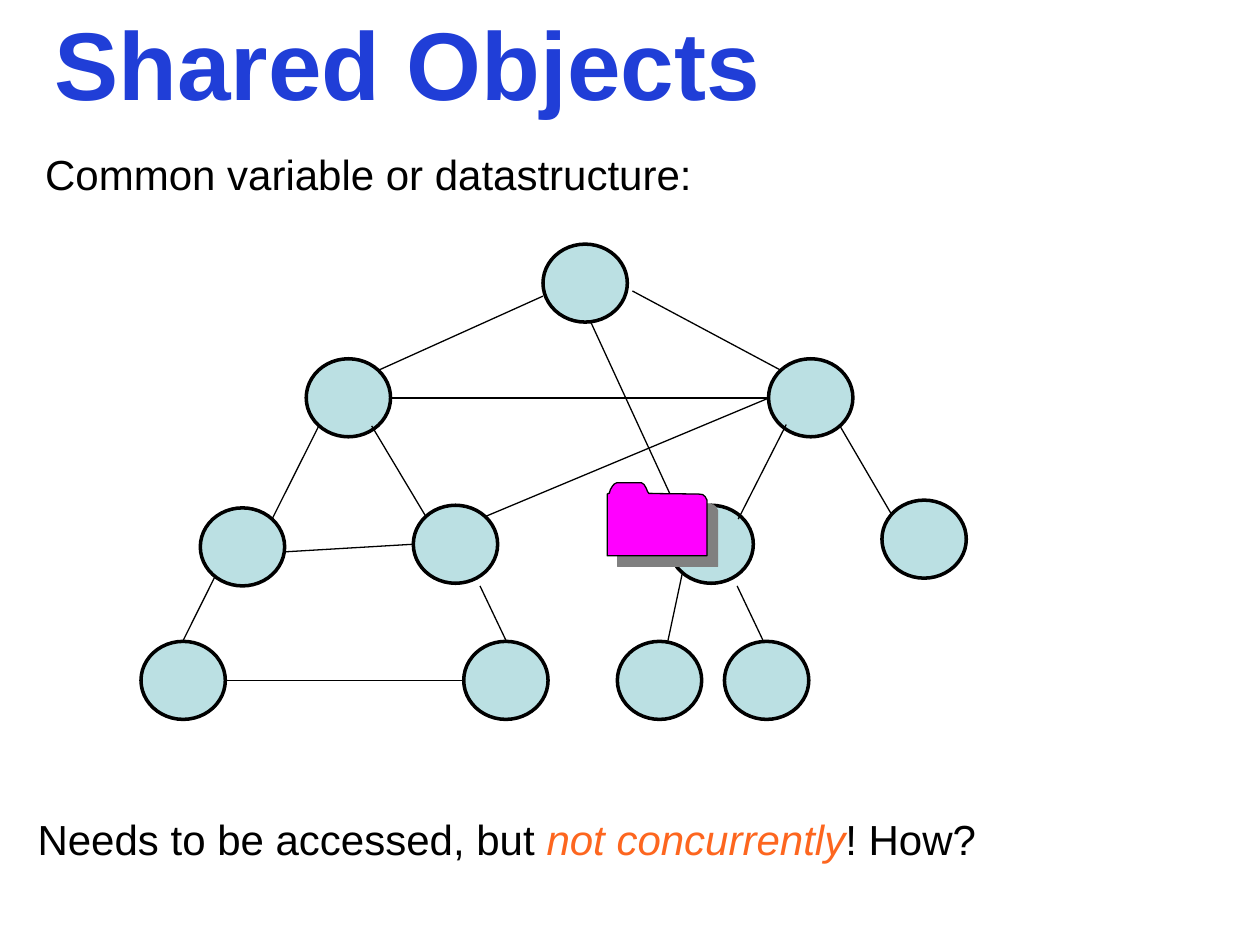
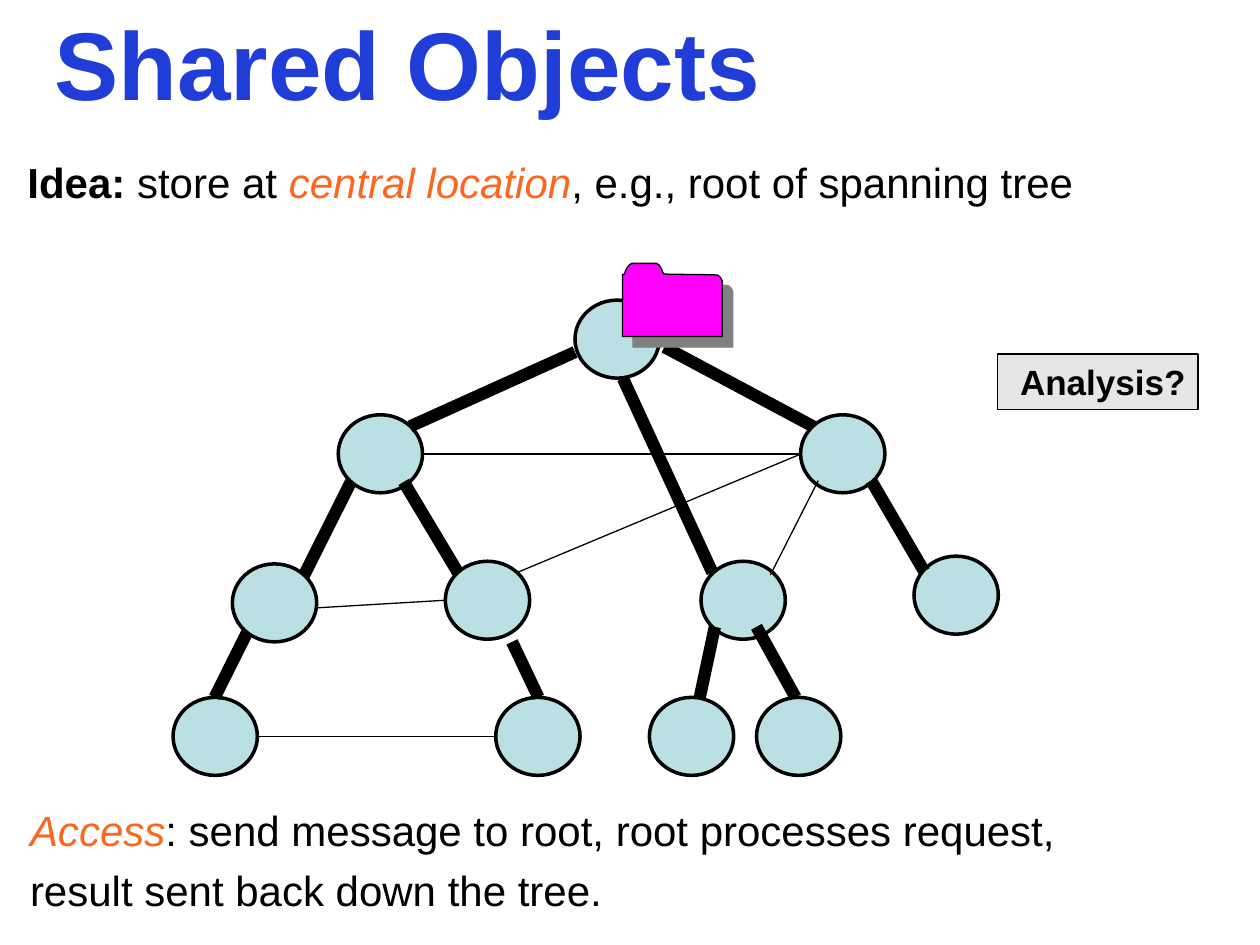
"""Build two slides on shared objects stored in a network of nodes."""
from lxml import etree
from pptx import Presentation
from pptx import util as u
from pptx.dml import color
from pptx.enum import shapes, text
from pptx.oxml import ns

BLACK, BLUE, ORANGE = "000000", "203ED7", "FD661F"
NODE_FILL, FOLDER_FILL, SHADOW, BOX_FILL = "BBE0E3", "FF00FF", "808080", "E6E6E6"
FONT = "Arial"
THIN, NODE_LINE, THICK = 0.75, 2, 7
NODE_WIDTH, NODE_HEIGHT = 48.2, 44.6

NODES = [
    (310.3, 139.5),
    (175, 205), (439.2, 205),
    (114.5, 290.2), (236.2, 288.7), (382.3, 288.7), (504, 285.8),
    (80.6, 366.5), (265, 366.5), (352.8, 366.5), (414, 366.5),
]
TREE_EDGES = [
    (361.4, 166.3, 446.4, 211.7), (310.3, 169.2, 216, 211.7),
    (212.4, 243.4, 243.4, 295.2), (182.2, 243.4, 155.5, 296.6),
    (123.1, 329, 104.4, 366.5), (274.3, 334.8, 289.4, 366.5),
    (390.2, 326.2, 381.6, 366.5), (479.5, 242.6, 509.8, 294.5),
    (337.7, 184.3, 388.8, 295.2),
]
CROSS_EDGES = [
    (449.3, 242.6, 421.9, 296.6), (162, 315.4, 236.2, 311),
    (128.2, 388.8, 265, 388.8), (223.2, 227.5, 438.5, 227.5),
    (277.2, 295.2, 439.2, 227.5),
]
FOLDER_OUTLINE = [
    (0, 6.5), (1.2, 6), (1.8, 4), (3, 2), (4, 0.8), (5.5, 0), (19.5, 0),
    (21, 1), (22.2, 3), (23, 5), (23.8, 6.2), (52, 6.5), (54.5, 6.8),
    (56, 8), (57, 10), (57, 41.8), (0, 41.8),
]


def rgb(value):
    return color.RGBColor.from_string(value)


class Deck:
    def __init__(self):
        self.presentation = Presentation()
        self.presentation.slide_width = u.Pt(720)
        self.presentation.slide_height = u.Pt(540)
        self.slide = None

    def font(self, run, size, fill=BLACK, bold=False, italic=False):
        run.font.name, run.font.size = FONT, u.Pt(size)
        run.font.bold, run.font.italic = bold, italic
        run.font.color.rgb = rgb(fill)

    def paint(self, shape, fill, width):
        shape.shadow.inherit = False
        shape.fill.solid()
        shape.fill.fore_color.rgb = rgb(fill)
        shape.line.color.rgb = rgb(BLACK)
        shape.line.width = u.Pt(width)

    def titled_slide(self, title):
        self.slide = self.presentation.slides.add_slide(self.presentation.slide_layouts[5])
        shape = self.slide.shapes.title
        shape.left, shape.top, shape.width, shape.height = map(u.Pt, (23.8, 15.8, 648, 38.9))
        frame = shape.text_frame
        frame.text = title
        frame.word_wrap = True
        frame.auto_size = text.MSO_AUTO_SIZE.NONE
        frame.vertical_anchor = text.MSO_ANCHOR.MIDDLE
        frame.paragraphs[0].alignment = text.PP_ALIGN.LEFT
        self.font(frame.paragraphs[0].runs[0], 55, BLUE, bold=True)

    def statement(self, left, top, width, *lines):
        box = self.slide.shapes.add_textbox(*map(u.Pt, (left, top, width, 90)))
        frame = box.text_frame
        frame.word_wrap = True
        frame.vertical_anchor = text.MSO_ANCHOR.MIDDLE
        for index, pieces in enumerate(lines):
            paragraph = frame.add_paragraph() if index else frame.paragraphs[0]
            paragraph.space_before = u.Pt(5.5)
            for words, style in pieces:
                run = paragraph.add_run()
                run.text = words
                self.font(run, 24, **style)

    def node(self, left, top):
        position = map(u.Pt, (left, top, NODE_WIDTH, NODE_HEIGHT))
        shape = self.slide.shapes.add_shape(shapes.MSO_SHAPE.OVAL, *position)
        self.paint(shape, NODE_FILL, NODE_LINE)

    def edge(self, ends, width):
        connector = self.slide.shapes.add_connector(
            shapes.MSO_CONNECTOR.STRAIGHT, *map(u.Pt, ends))
        connector.line.color.rgb = rgb(BLACK)
        connector.line.width = u.Pt(width)
        etree.SubElement(connector._element.spPr, ns.qn("a:effectLst"))

    def network(self, extra_edge, tree_width, right=0, down=0):
        for left, top in NODES:
            self.node(left + right, top + down)
        edges = [(ends, tree_width) for ends in TREE_EDGES + [extra_edge]]
        edges += [(ends, THIN) for ends in CROSS_EDGES]
        for (x1, y1, x2, y2), width in edges:
            self.edge((x1 + right, y1 + down, x2 + right, y2 + down), width)

    def folder(self, left, top):
        points = [(u.Pt(left + x), u.Pt(top + y)) for x, y in FOLDER_OUTLINE]
        builder = self.slide.shapes.build_freeform(*points[0])
        builder.add_line_segments(points[1:], close=True)
        shape = builder.convert_to_shape()
        self.paint(shape, FOLDER_FILL, THIN)
        effects = shape._element.spPr.find(ns.qn("a:effectLst"))
        shadow = etree.SubElement(effects, ns.qn("a:outerShdw"), dist=str(u.Pt(8.5)),
                                  dir="2700000", algn="ctr", rotWithShape="0")
        etree.SubElement(shadow, ns.qn("a:srgbClr"), val=SHADOW)

    def label(self, left, top, width, height, words):
        shape = self.slide.shapes.add_shape(
            shapes.MSO_SHAPE.RECTANGLE, *map(u.Pt, (left, top, width, height)))
        self.paint(shape, BOX_FILL, THIN)
        frame = shape.text_frame
        frame.text = words
        frame.margin_left, frame.margin_right = u.Pt(12.7), u.Pt(0)
        frame.paragraphs[0].alignment = text.PP_ALIGN.LEFT
        self.font(frame.paragraphs[0].runs[0], 20, bold=True)


def main():
    plain, bold = {}, {"bold": True}
    accent = {"fill": ORANGE, "italic": True}
    deck = Deck()

    deck.titled_slide("Shared Objects")
    deck.network((421.2, 334.8, 436.3, 366.5), THIN)
    deck.folder(347, 275.8)
    deck.statement(18.7, 54, 405, [("Common variable or datastructure:", plain)])
    deck.statement(14.4, 434.2, 637, [
        ("Needs to be accessed, but ", plain), ("not concurrently", accent), ("! How?", plain)])

    deck.titled_slide("Shared Objects")
    deck.network((414, 326.2, 436.3, 366.5), THICK, right=18.3, down=32)
    deck.statement(8.6, 59, 689, [
        ("Idea: ", bold), ("store at ", plain), ("central location", accent),
        (", e.g., root of spanning tree", plain)])
    deck.statement(
        10.1, 446.4, 637,
        [("Access", accent), (": send message to root, root processes request,", plain)],
        [("result sent back down the tree.", plain)])
    deck.folder(355.7, 150.5)
    deck.label(570.2, 202.3, 114.5, 31.7, "Analysis?")

    deck.presentation.save("out.pptx")


if __name__ == "__main__":
    main()
